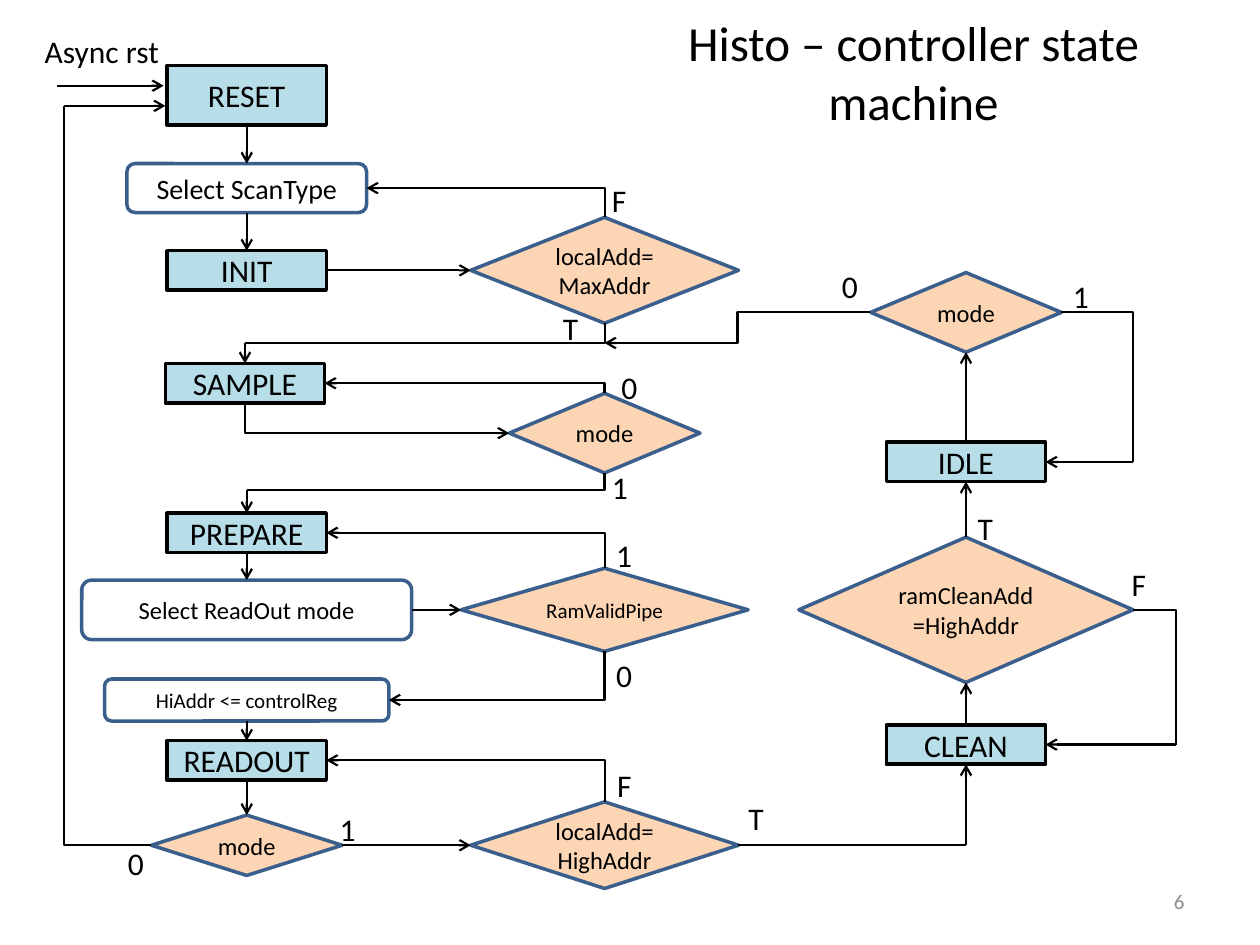
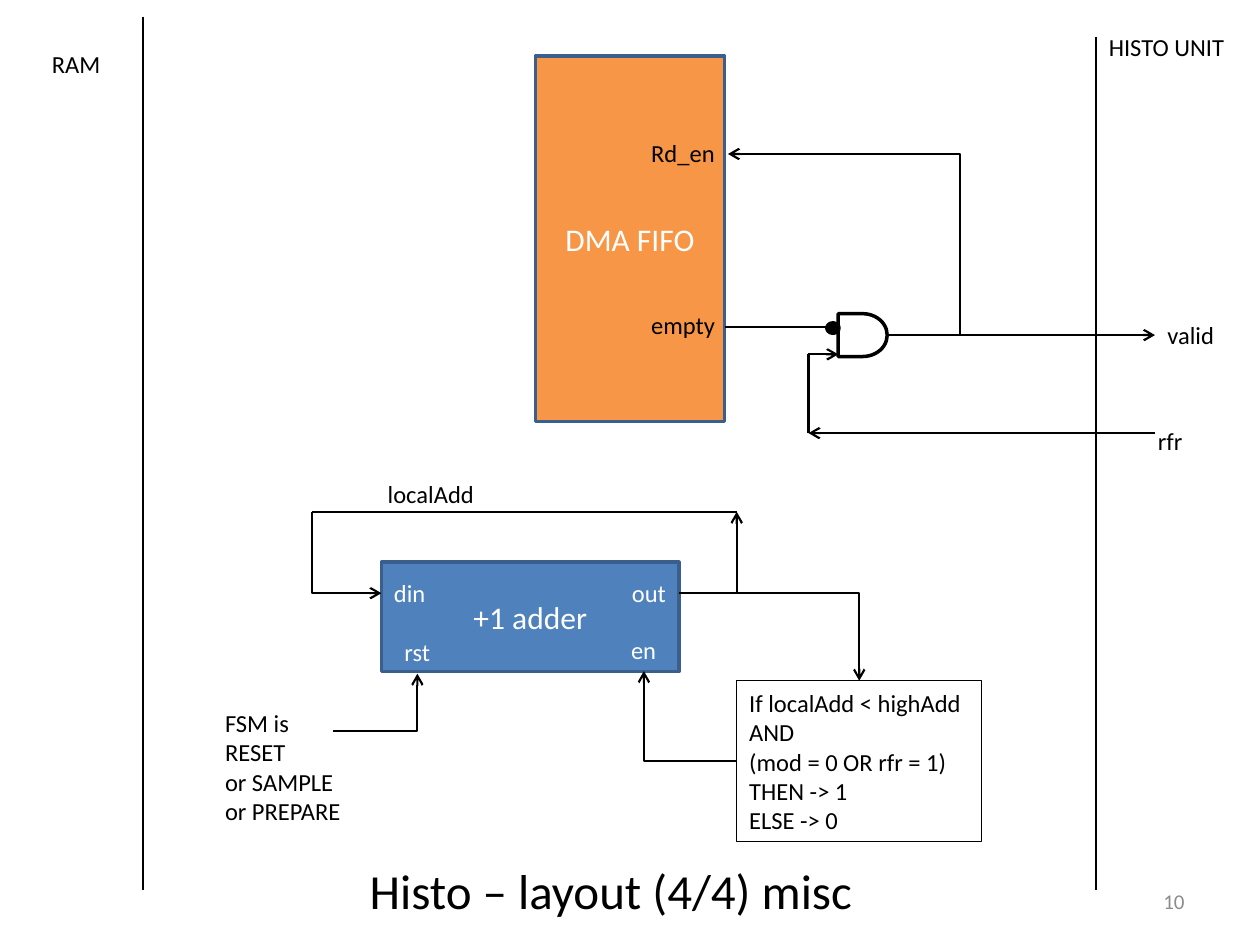
from pptx import Presentation
from pptx.dml.color import RGBColor
from pptx.enum.shapes import MSO_CONNECTOR as CONN, MSO_SHAPE as SHAPE
from pptx.enum.text import MSO_ANCHOR as ANCHOR, MSO_AUTO_SIZE as FIT, PP_ALIGN as ALIGN
from pptx.oxml.ns import qn
from pptx.util import Pt
from lxml.etree import SubElement

BLACK = RGBColor(0x00, 0x00, 0x00)
WHITE = RGBColor(0xFF, 0xFF, 0xFF)
GREY = RGBColor(0x8C, 0x8C, 0x8C)
NAVY = RGBColor(0x3A, 0x5F, 0x8C)
BLUE = RGBColor(0x4F, 0x81, 0xBD)
ORANGE = RGBColor(0xF7, 0x96, 0x46)
AQUA = RGBColor(0xB7, 0xDE, 0xE8)
PEACH = RGBColor(0xFC, 0xD5, 0xB5)
FONT = "Calibri"
TOP, LEFT, BOTTOM, RIGHT = range(4)


def end_point(end):
    """Resolve an (x, y) pair in points, or a (shape, side) pair."""
    sp, side = end
    if isinstance(sp, (int, float)):
        return Pt(sp), Pt(side)
    x, y = sp.left + sp.width // 2, sp.top + sp.height // 2
    return {TOP: (x, sp.top), LEFT: (sp.left, y),
            BOTTOM: (x, sp.top + sp.height), RIGHT: (sp.left + sp.width, y)}[side]


class Diagram:
    """Holds the shared style and the slide being drawn."""

    def __init__(self, prs):
        self.prs = prs
        self.slide = None

    def new_slide(self, title, title_box, number):
        self.slide = self.prs.slides.add_slide(self.prs.slide_layouts[6])
        self.text_area(title, title_box, 28, BLACK, ALIGN.CENTER)
        self.text_area(number, (516, 500.5, 168, 29), 12, GREY, ALIGN.RIGHT)

    def add_text(self, tf, text, size, color, align):
        for i, line in enumerate(text.split("\n")):
            p = tf.paragraphs[0] if i == 0 else tf.add_paragraph()
            p.alignment = align
            r = p.add_run()
            r.text = line
            r.font.name = FONT
            r.font.size = Pt(size)
            r.font.color.rgb = color

    def text_area(self, text, box, size, color, align):
        tf = self.slide.shapes.add_textbox(*map(Pt, box)).text_frame
        tf.word_wrap = True
        tf.vertical_anchor = ANCHOR.MIDDLE
        self.add_text(tf, text, size, color, align)

    def label(self, text, x, y, width, size=14, color=BLACK):
        height = 7.2 + 1.2 * size * (text.count("\n") + 1)
        tf = self.slide.shapes.add_textbox(Pt(x), Pt(y), Pt(width), Pt(height)).text_frame
        tf.word_wrap = False
        tf.auto_size = FIT.SHAPE_TO_FIT_TEXT
        self.add_text(tf, text, size, color, ALIGN.LEFT)

    def node(self, kind, text, cx, cy, w, h, size=18, fill=None, line=NAVY,
             weight=2, color=BLACK, align=ALIGN.CENTER):
        """Add a shape centred on (cx, cy)."""
        sp = self.slide.shapes.add_shape(kind, Pt(cx - w / 2), Pt(cy - h / 2), Pt(w), Pt(h))
        sp.shadow.inherit = False
        if fill is None:
            sp.fill.background()
        else:
            sp.fill.solid()
            sp.fill.fore_color.rgb = fill
        sp.line.color.rgb = line
        sp.line.width = Pt(weight)
        if text:
            tf = sp.text_frame
            tf.word_wrap = True
            tf.vertical_anchor = ANCHOR.MIDDLE
            self.add_text(tf, text, size, color, align)
        return sp

    def state(self, text, cx, cy, h=22.5):
        return self.node(SHAPE.RECTANGLE, text, cx, cy, 91, h, fill=AQUA, line=BLACK)

    def action(self, text, cx, cy, w, h, size):
        return self.node(SHAPE.ROUNDED_RECTANGLE, text, cx, cy, w, h, size)

    def decision(self, text, cx, cy, w, h, size=14):
        return self.node(SHAPE.DIAMOND, text, cx, cy, w, h, size, PEACH)

    def connector(self, kind, start, end, arrow_at=None):
        c = self.slide.shapes.add_connector(kind, *end_point(start), *end_point(end))
        c.line.color.rgb = BLACK
        c.line.width = Pt(1.25)
        spPr = c._element.spPr
        if arrow_at:
            SubElement(spPr.find(qn("a:ln")), qn("a:" + arrow_at), type="arrow")
        SubElement(spPr, qn("a:effectLst"))
        return c

    def line(self, start, end, arrow=False):
        c = self.connector(CONN.STRAIGHT, start, end, "tailEnd" if arrow else None)
        for (sp, side), join in ((start, c.begin_connect), (end, c.end_connect)):
            if not isinstance(sp, (int, float)):
                join(sp, side)

    def arrow(self, start, end):
        self.line(start, end, arrow=True)

    def corner(self, start, end, upright=False, arrow=True):
        """Draw one right-angle turn; upright means it leaves start vertically."""
        tip = "tailEnd"
        if upright:  # the preset turns from horizontal to vertical, so run it backwards
            start, end, tip = end, start, "headEnd"
        c = self.connector(CONN.ELBOW, start, end, tip if arrow else None)
        c._element.spPr.find(qn("a:prstGeom")).set("prst", "bentConnector2")


def state_machine(d):
    d.new_slide("Histo – controller state machine", (360, 21.5, 324, 39), "6")
    left, mid, right = 141, 345.5, 552

    reset = d.state("RESET", left, 54.5, 34)
    init = d.state("INIT", left, 154.5)
    sample = d.state("SAMPLE", left - 1, 219)
    prepare = d.state("PREPARE", left, 304.5)
    readout = d.state("READOUT", left, 434.5)
    clean = d.state("CLEAN", right, 425.5)
    idle = d.state("IDLE", right, 264)

    scan_type = d.action("Select ScanType", left, 107.5, 137, 28, 16)
    readout_mode = d.action("Select ReadOut mode", left, 348.5, 188.5, 34, 14)
    hi_addr = d.action("HiAddr <= controlReg", left, 400, 162.5, 24, 12)

    at_max = d.decision("localAdd= MaxAddr", mid, 154.5, 153, 60.5)
    idle_mode = d.decision("mode", right, 178.5, 109, 45.5)
    ram_valid = d.decision("RamValidPipe", mid, 348.5, 164, 47.5, 12)
    readout_end = d.decision("mode", left, 483, 109, 34.5)
    at_high = d.decision("localAdd=HighAddr", mid, 483, 153, 49.5)
    cleaned = d.decision("ramCleanAdd\n=HighAddr", right, 348.5, 191, 83)
    sample_mode = d.decision("mode", mid, 247.5, 109, 45.5)

    for upper, lower in ((reset, scan_type), (scan_type, init), (prepare, readout_mode),
                         (hi_addr, readout), (readout, readout_end)):
        d.arrow((upper, BOTTOM), (lower, TOP))
    for lower, upper in ((clean, cleaned), (cleaned, idle), (idle, idle_mode)):
        d.arrow((lower, TOP), (upper, BOTTOM))
    for source, target in ((init, at_max), (readout_mode, ram_valid), (readout_end, at_high)):
        d.arrow((source, RIGHT), (target, LEFT))

    for test, target in ((at_max, scan_type), (sample_mode, sample),
                         (ram_valid, prepare), (at_high, readout)):
        d.corner((test, TOP), (target, RIGHT), upright=True)
    d.corner((ram_valid, BOTTOM), (hi_addr, RIGHT), upright=True)
    d.corner((sample, BOTTOM), (sample_mode, LEFT), upright=True)

    for test, target, turn in ((at_max, sample, (left - 1, 196)),
                               (sample_mode, prepare, (left, 280))):
        d.corner((test, BOTTOM), turn, upright=True, arrow=False)
        d.arrow(turn, (target, TOP))
    for test, target, turn in ((cleaned, clean, (672, 425.5)), (idle_mode, idle, (647.5, 264))):
        d.corner((test, RIGHT), turn, arrow=False)
        d.arrow(turn, (target, RIGHT))
    d.connector(CONN.ELBOW, (idle_mode, LEFT), (mid, 196), "tailEnd")

    d.line((at_high, RIGHT), (right, 483))
    d.arrow((right, 483), (clean, BOTTOM))
    d.corner((readout_end, LEFT), (36.5, 60.5), arrow=False)
    d.arrow((36.5, 60.5), (94.5, 60.5))
    d.arrow((32.5, 49), (93.5, 49))

    d.label("Async rst", 18.5, 14.5, 80.5, 18)
    for text, x, y in (
            ("T", 314.5, 173), ("F", 342.5, 100), ("T", 420.5, 453), ("T", 551.5, 287.5),
            ("F", 639.5, 319.5), ("F", 345.5, 434), ("1", 187, 459.5), ("1", 345, 302.5),
            ("1", 342.5, 264), ("1", 606, 155), ("0", 348, 206.5), ("0", 345, 371.5),
            ("0", 66, 479), ("0", 474, 149)):
        d.label(text, x, y, 23.5, 18)


def misc_layout(d):
    d.new_slide("Histo – layout (4/4) misc", (76.5, 489, 545, 39), "10")
    d.line((81.5, 9.5), (81.5, 508.5))
    d.line((626.5, 21), (626.5, 508.5))

    d.node(SHAPE.RECTANGLE, "DMA FIFO", 360, 136.5, 108, 209, fill=ORANGE, color=WHITE)
    d.node(SHAPE.OVAL, "", 476, 187.5, 6, 5, fill=BLACK, line=BLACK, weight=3)
    gate = d.node(SHAPE.FLOWCHART_DELAY, "", 493, 191.5, 28, 24.5, line=BLACK)
    d.line((414, 187), (479, 187))
    d.arrow((660, 247.5), (462, 247.5))
    d.line((462, 247.5), (462, 202.5))
    d.arrow((462, 202.5), (479, 202.5))
    d.arrow((gate, RIGHT), (660, 191.5))
    d.corner((548.5, 191.5), (416, 88), upright=True)

    d.node(SHAPE.RECTANGLE, "+1 adder", 303, 352.5, 170, 62.5, fill=BLUE, color=WHITE)
    condition = d.node(
        SHAPE.RECTANGLE,
        "If localAdd < highAdd\nAND\n(mod = 0 OR rfr = 1)\nTHEN -> 1\nELSE -> 0",
        491, 435, 140, 92, 14, line=BLACK, weight=0.75, align=ALIGN.LEFT)
    d.line((178.5, 292.5), (421, 292.5))
    d.corner((178.5, 292.5), (218, 339), upright=True)
    d.corner((388, 339), (421, 292.5))
    d.corner((421, 339), (condition, TOP))
    d.corner((condition, LEFT), (368, 383.5))
    d.corner((190, 417.5), (238.5, 385))

    for text, x, y, width in (
            ("HISTO UNIT", 626.5, 15, 80.5), ("RAM", 22.5, 24.5, 42.5),
            ("empty", 365, 173.5, 51), ("Rd_en", 365, 75.5, 51),
            ("valid", 660, 179.5, 42), ("rfr", 654.5, 240, 29),
            ("localAdd", 214.5, 270, 64),
            ("FSM is\nRESET\nor SAMPLE\nor PREPARE", 121.5, 401, 81.5)):
        d.label(text, x, y, width)
    for port, x, y, width in (("din", 218, 327, 32.5), ("out", 354, 327, 34.5),
                              ("rst", 224, 360.5, 29.5), ("en", 353.5, 359.5, 29)):
        d.label(port, x, y, width, color=WHITE)


def main():
    prs = Presentation()
    prs.slide_width, prs.slide_height = Pt(720), Pt(540)
    d = Diagram(prs)
    state_machine(d)
    misc_layout(d)
    prs.save("out.pptx")


if __name__ == "__main__":
    main()
